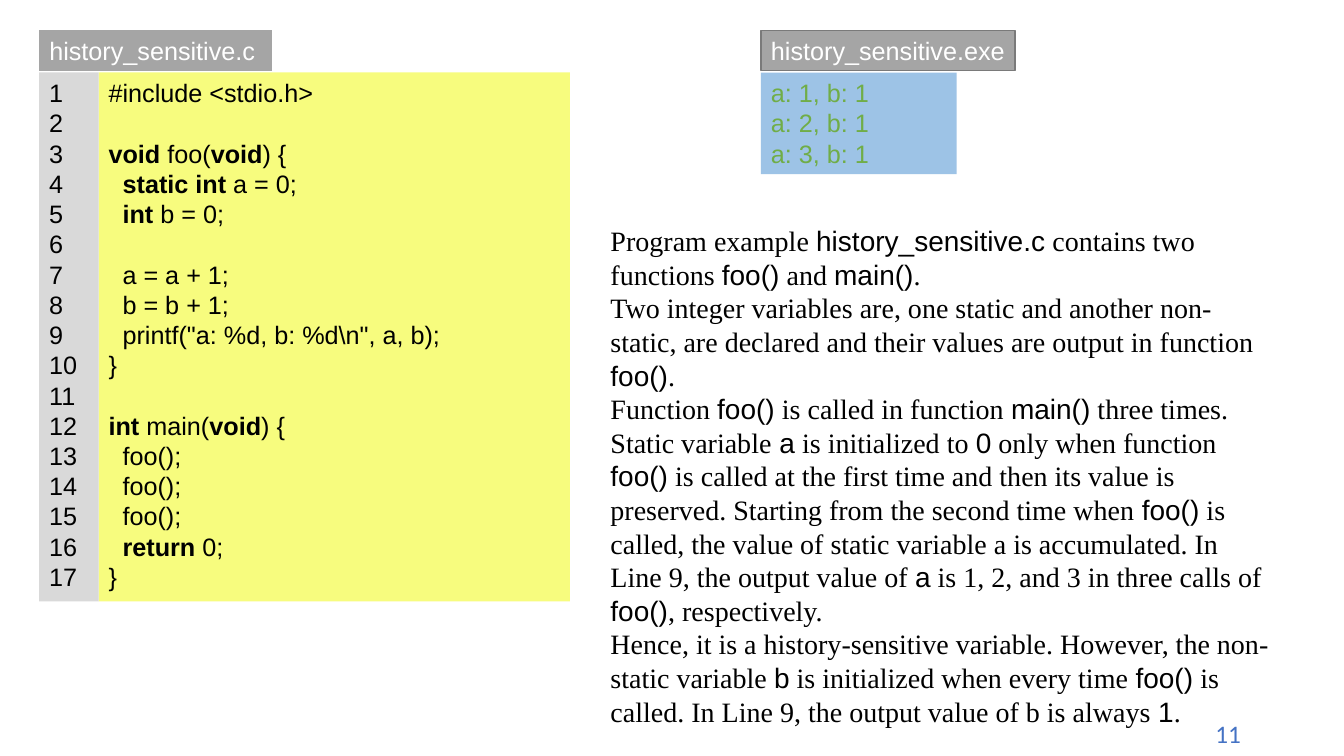
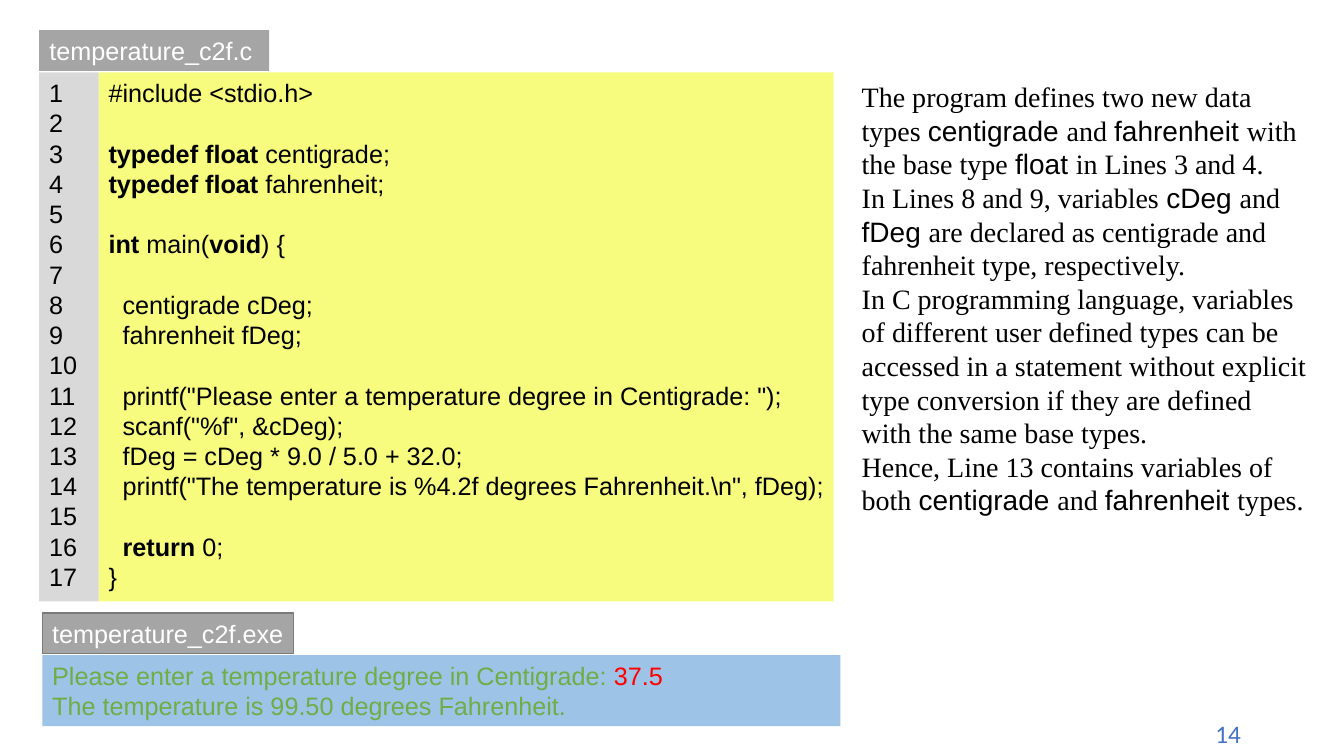
from dataclasses import dataclass, replace

from lxml.etree import SubElement
from pptx import Presentation
from pptx.dml.color import RGBColor
from pptx.enum.shapes import MSO_SHAPE
from pptx.enum.text import MSO_ANCHOR, PP_ALIGN
from pptx.oxml.ns import qn
from pptx.util import Pt


@dataclass(frozen=True)
class Style:
    font: str
    size: int
    color: str
    bold: bool = False


@dataclass(frozen=True)
class Theme:
    tag: str = "A5A5A5"
    edge: str = "7A7A7A"
    paper: str = "F7FC7E"
    gutter: str = "D9D9D9"
    screen: str = "9DC3E6"
    label: Style = Style("Arial", 18, "FFFFFF")
    code: Style = Style("Arial", 18, "000000")
    output: Style = Style("Arial", 18, "70AD47")
    input: Style = Style("Arial", 18, "FF0000")
    prose: Style = Style("Times New Roman", 20, "000000")
    term: Style = Style("Arial", 20, "000000")
    page: Style = Style("Calibri", 18, "4472C4")
    left: float = 28
    top: float = 21.6
    tag_high: float = 29
    step: float = 30.2
    rule: float = 42.5
    line: float = 21.8
    pad: float = 7.2


THEME = Theme()
KEYWORD = replace(THEME.code, bold=True)

FOO_CODE = r"""#include <stdio.h>

|void |foo(|void|) {
  |static int |a = 0;
  |int |b = 0;

  a = a + 1;
  b = b + 1;
  printf("a: %d, b: %d\n", a, b);
}

|int |main(|void|) {
  foo();
  foo();
  foo();
  |return |0;
}"""

FOO_TEXT = """Program example |history_sensitive.c| contains two functions |foo()| and |main()|.
Two integer variables are, one static and another non-static, are declared and their values are output in function |foo()|.
Function |foo()| is called in function |main()| three times. Static variable| a| is initialized to |0| only when function| foo()| is called at the first time and then its value is preserved. Starting from the second time when |foo()| is called, the value of static variable a is accumulated. In Line 9, the output value of |a| is 1, 2, and 3 in three calls of |foo()|, respectively.
Hence, it is a history-sensitive variable. However, the non-static variable |b| is initialized when every time |foo()| is called. In Line 9, the output value of b is always |1|."""

TEMP_CODE = r"""#include <stdio.h>

|typedef float |centigrade;
|typedef float |fahrenheit;

|int |main(|void|) {

  centigrade cDeg;
  fahrenheit fDeg;

  printf("Please enter a temperature degree in Centigrade: ");
  scanf("%f", &cDeg);
  fDeg = cDeg * 9.0 / 5.0 + 32.0;
  printf("The temperature is %4.2f degrees Fahrenheit.\n", fDeg);

  |return |0;
}"""

TEMP_TEXT = """The program defines two new data types |centigrade |and |fahrenheit |with the base type |float |in Lines 3 and 4.
In Lines 8 and 9, variables |cDeg |and |fDeg |are declared as centigrade and fahrenheit type, respectively.
In C programming language, variables of different user defined types can be accessed in a statement without explicit type conversion if they are defined with the same base types.
Hence, Line 13 contains variables of both |centigrade |and |fahrenheit |types."""


def rgb(color):
    return RGBColor.from_string(color)


def place(shape, left, top, width, height):
    shape.left, shape.top = Pt(left), Pt(top)
    shape.width, shape.height = Pt(width), Pt(height)


def write(shape, text, plain, marked=None, align=PP_ALIGN.LEFT, right=0):
    frame = shape.text_frame
    frame.word_wrap = True
    frame.vertical_anchor = MSO_ANCHOR.TOP
    frame.margin_left, frame.margin_right = Pt(THEME.pad), Pt(right)
    frame.margin_top = frame.margin_bottom = Pt(THEME.pad / 2)
    for row, line in enumerate(text.split("\n")):
        para = frame.add_paragraph() if row else frame.paragraphs[0]
        para.alignment = align
        for spot, piece in enumerate(line.split("|")):
            if piece:
                style = marked if spot % 2 else plain
                run = para.add_run()
                run.text = piece
                font = run.font
                font.name, font.size = style.font, Pt(style.size)
                font.bold = style.bold
                font.color.rgb = rgb(style.color)
        if not line:
            end = SubElement(para._p, qn("a:endParaRPr"), sz=str(plain.size * 100))
            SubElement(end, qn("a:latin"), typeface=plain.font)


def paint(shape, fill, edge=None):
    shape.fill.solid()
    shape.fill.fore_color.rgb = rgb(fill)
    if edge:
        shape.line.color.rgb = rgb(edge)
        shape.line.width = Pt(1)
    else:
        shape.line.fill.background()


def add_box(shapes, left, top, width, height, fill, edge=None):
    box = shapes.add_shape(MSO_SHAPE.RECTANGLE, Pt(left), Pt(top), Pt(width), Pt(height))
    box.shadow.inherit = False
    paint(box, fill, edge)
    return box


def add_panel(shapes, left, top, width, text, fill, plain, marked=None):
    height = (text.count("\n") + 1) * THEME.line + THEME.pad
    write(add_box(shapes, left, top, width, height, fill), text, plain, marked)


def add_title(slide, name, width):
    title = slide.shapes.title
    place(title, THEME.left, THEME.top, width, THEME.tag_high)
    paint(title, THEME.tag)
    write(title, name, THEME.label)


def add_code(slide, code, width):
    shapes = slide.shapes.add_group_shape().shapes
    top = THEME.top + THEME.step
    count = "\n".join(str(row + 1) for row in range(code.count("\n") + 1))
    add_panel(shapes, THEME.left + THEME.rule, top, width, code,
              THEME.paper, THEME.code, KEYWORD)
    add_panel(shapes, THEME.left, top, THEME.rule, count, THEME.gutter, THEME.code)


def add_output(slide, left, top, name, tag_wide, text, width):
    add_panel(slide.shapes, left, top + THEME.step, width, text,
              THEME.screen, THEME.output, THEME.input)
    tag = add_box(slide.shapes, left, top, tag_wide, THEME.tag_high, THEME.tag, THEME.edge)
    write(tag, name, THEME.label)


def add_text(slide, area, text, plain, marked=None, align=PP_ALIGN.LEFT):
    box = slide.shapes.add_textbox(*map(Pt, area))
    write(box, text, plain, marked, align, THEME.pad)


def add_slide(deck, name, tag_wide, code, code_wide, area, text, page):
    slide = deck.slides.add_slide(deck.slide_layouts[5])
    add_title(slide, name, tag_wide)
    add_code(slide, code, code_wide)
    add_text(slide, area, text, THEME.prose, THEME.term)
    add_text(slide, (780.5, 509.8, 113, 29), page, THEME.page, align=PP_ALIGN.RIGHT)
    return slide


def main():
    deck = Presentation()
    deck.slide_width, deck.slide_height = Pt(960), Pt(540)

    foo = add_slide(deck, "history_sensitive.c", 166.3, FOO_CODE, 336.5,
                    (429, 156.2, 488, 346), FOO_TEXT, "11")
    add_output(foo, 543.6, THEME.top, "history_sensitive.exe", 181.5,
               "a: 1, b: 1\na: 2, b: 1\na: 3, b: 1", 139.7)

    temp = add_slide(deck, "temperature_c2f.c", 164.2, TEMP_CODE, 525,
                     (608.4, 53.3, 332.6, 322.6), TEMP_TEXT, "14")
    add_output(temp, 30.2, 437.8, "temperature_c2f.exe", 179.5,
               "Please enter a temperature degree in Centigrade: |37.5\n"
               "The temperature is 99.50 degrees Fahrenheit.", 570.2)

    deck.save("out.pptx")


if __name__ == "__main__":
    main()
